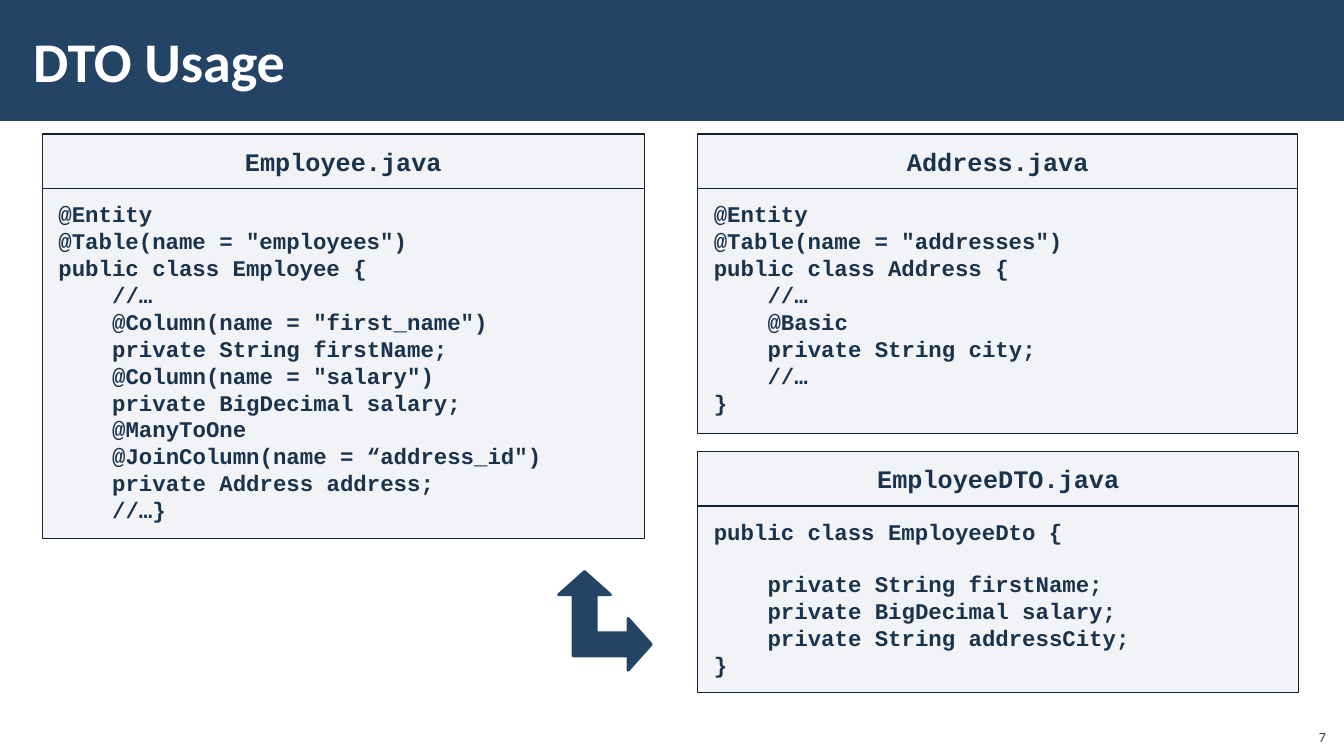
from lxml import etree
from pptx import Presentation
from pptx import util as u
from pptx.dml.color import RGBColor
from pptx.enum import shapes, text
from pptx.oxml.ns import qn

NAVY, INK, OUTLINE, PANEL, WHITE = "234465", "1A334C", "112233", "ADB4C3", "FFFFFF"
BODY_FONT, CODE_FONT = "Calibri", "Courier New"
CODE_SIZE = 16
INDENT = u.Pt(CODE_SIZE * 0.6 * 4)
HEADER_HEIGHT = 0.54

EMPLOYEE = [
    (0, "@Entity"),
    (0, '@Table(name = "employees")'),
    (0, "public class Employee {"),
    (1, "//…"),
    (1, '@Column(name = "first_name")'),
    (1, "private String firstName;"),
    (1, '@Column(name = "salary")'),
    (1, "private BigDecimal salary;"),
    (1, "@ManyToOne"),
    (1, '@JoinColumn(name = “address_id")'),
    (1, "private Address address;"),
    (1, "//…}"),
]
ADDRESS = [
    (0, "@Entity"),
    (0, '@Table(name = "addresses")'),
    (0, "public class Address {"),
    (1, "//…"),
    (1, "@Basic"),
    (1, "private String city;"),
    (1, "//…"),
    (0, "}"),
]
EMPLOYEE_DTO = [
    (0, "public class EmployeeDto {"),
    (1, "private String firstName;"),
    (1, "private BigDecimal salary;"),
    (1, "private String addressCity;"),
    (0, "}"),
]


def paint(color_format, color):
    color_format.rgb = RGBColor.from_string(color)


def style(paragraph, font_name, size, color, bold=False):
    for run in paragraph.runs:
        run.font.name = font_name
        run.font.size = u.Pt(size)
        run.font.bold = bold
        paint(run.font.color, color)


def set_margins(frame, horizontal, vertical):
    frame.margin_left = frame.margin_right = u.Inches(horizontal)
    frame.margin_top = frame.margin_bottom = u.Inches(vertical)


def add_filled(slide, kind, box, fill, line=None, width=1):
    shape = slide.shapes.add_shape(kind, *map(u.Inches, box))
    shape.shadow.inherit = False
    shape.fill.solid()
    paint(shape.fill.fore_color, fill)
    if line:
        paint(shape.line.color, line)
        shape.line.width = u.Pt(width)
    else:
        shape.line.fill.background()
    return shape


def add_label(slide, box, content, size, color, anchor, alignment, bold=False):
    label = slide.shapes.add_textbox(*map(u.Inches, box))
    frame = label.text_frame
    frame.word_wrap = True
    frame.vertical_anchor = anchor
    frame.text = content
    frame.paragraphs[0].alignment = alignment
    style(frame.paragraphs[0], BODY_FONT, size, color, bold)
    return label


def add_panel(slide, box, content):
    shape = add_filled(slide, shapes.MSO_SHAPE.RECTANGLE, box, PANEL, OUTLINE)
    color = shape._element.spPr.find(qn("a:solidFill"))[0]
    etree.SubElement(color, qn("a:alpha")).set("val", "15000")
    frame = shape.text_frame
    frame.word_wrap = True
    frame.vertical_anchor = text.MSO_ANCHOR.TOP
    set_margins(frame, 0.16, 0.12)
    frame.text = content
    return frame


def title_bar(slide, box, title):
    left, top, width, height = box
    add_filled(slide, shapes.MSO_SHAPE.RECTANGLE, box, NAVY)
    label = add_label(slide, (left + 0.21, top + 0.11, width - 2.7, height - 0.23), title,
                      40, WHITE, text.MSO_ANCHOR.MIDDLE, text.PP_ALIGN.LEFT, bold=True)
    set_margins(label.text_frame, 0.12, 0.04)


def code_card(slide, box, file_name, lines, gap_after=None):
    left, top, width, height = box
    body = add_panel(slide, (left, top + HEADER_HEIGHT, width, height - HEADER_HEIGHT),
                     "\n".join(line for _, line in lines))
    for index, (paragraph, (level, _)) in enumerate(zip(body.paragraphs, lines)):
        paragraph.alignment = text.PP_ALIGN.LEFT
        paragraph._p.get_or_add_pPr().set("marL", str(INDENT * level))
        if gap_after is not None and index == gap_after + 1:
            paragraph.space_before = u.Pt(18)
        style(paragraph, CODE_FONT, CODE_SIZE, INK, bold=True)

    header = add_panel(slide, (left, top, width, HEADER_HEIGHT), file_name)
    header.paragraphs[0].alignment = text.PP_ALIGN.CENTER
    style(header.paragraphs[0], CODE_FONT, 18, INK, bold=True)


def mapping_arrow(slide, box):
    arrow = add_filled(slide, shapes.MSO_SHAPE.LEFT_UP_ARROW, box, NAVY, NAVY, 2)
    for index, value in enumerate((0.25, 0.28, 0.25)):
        arrow.adjustments[index] = value
    arrow._element.spPr.find(qn("a:xfrm")).set("flipH", "1")


def page_number(slide, box, number):
    add_label(slide, box, number, 10, NAVY, text.MSO_ANCHOR.BOTTOM, text.PP_ALIGN.RIGHT)


def main():
    presentation = Presentation()
    presentation.slide_width = u.Inches(13.33)
    presentation.slide_height = u.Inches(7.5)
    slide = presentation.slides.add_slide(presentation.slide_layouts[6])

    title_bar(slide, (0, 0, 13.33, 1.2), "DTO Usage")
    code_card(slide, (0.42, 1.33, 5.97, 4.01), "Employee.java", EMPLOYEE)
    code_card(slide, (6.92, 1.33, 5.95, 2.97), "Address.java", ADDRESS)
    code_card(slide, (6.92, 4.48, 5.96, 2.39), "EmployeeDTO.java", EMPLOYEE_DTO, gap_after=0)
    mapping_arrow(slide, (5.54, 5.67, 0.92, 0.98))
    page_number(slide, (12.85, 7.12, 0.4, 0.32), "7")

    presentation.save("out.pptx")


if __name__ == "__main__":
    main()
